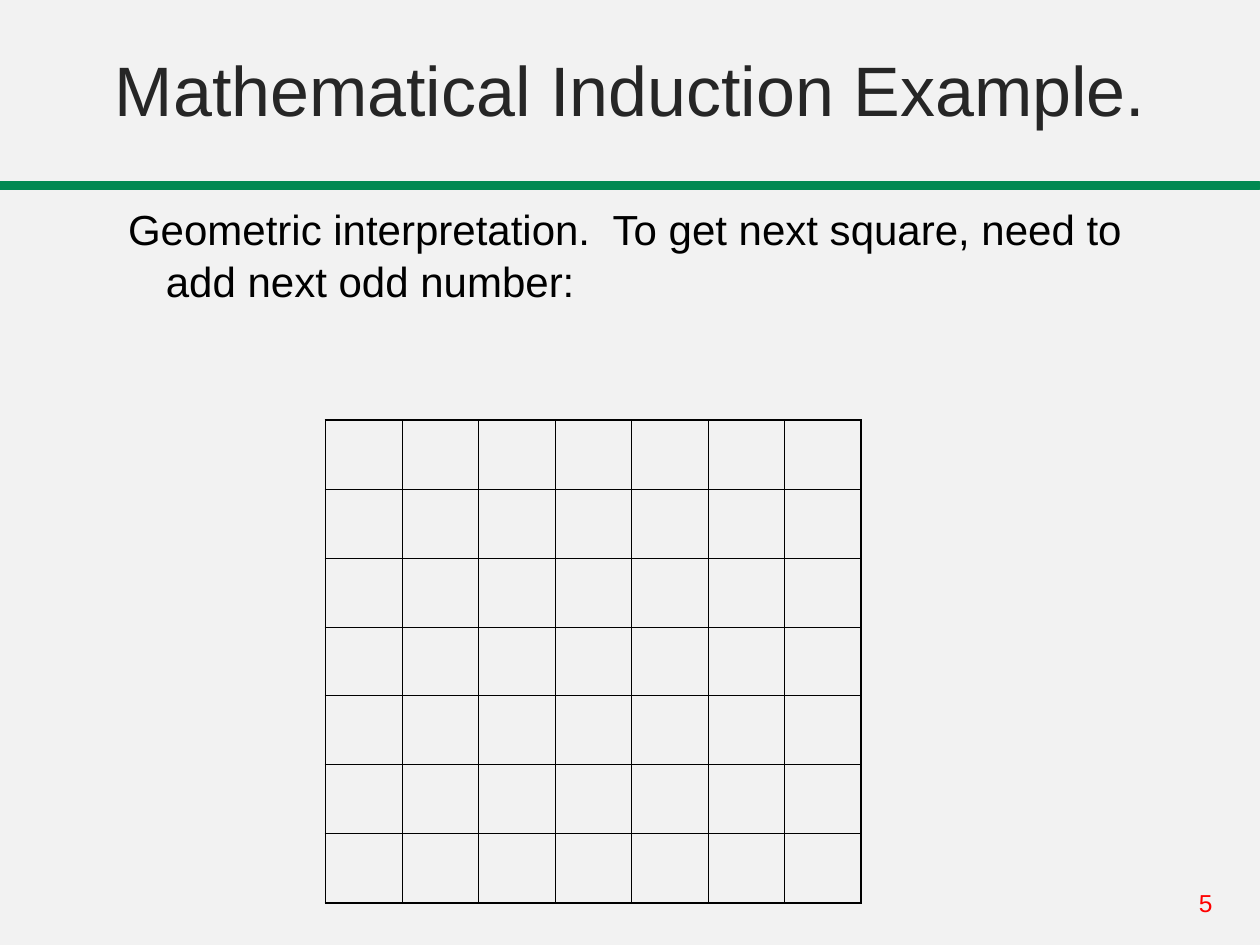
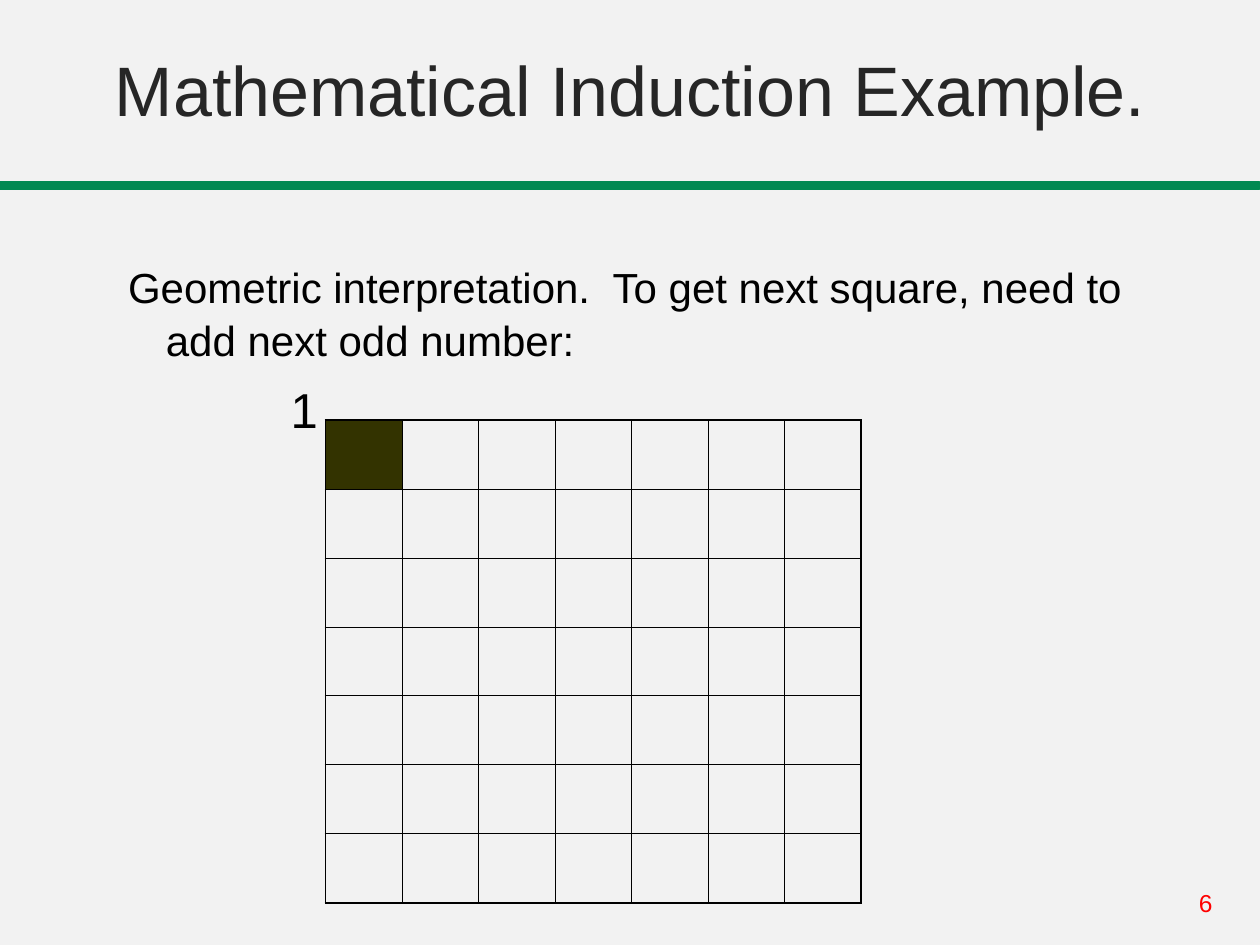
from lxml import etree
from pptx import Presentation
from pptx.dml.color import RGBColor
from pptx.enum.shapes import MSO_SHAPE
from pptx.enum.text import MSO_ANCHOR, MSO_AUTO_SIZE, PP_ALIGN
from pptx.oxml.ns import qn
from pptx.util import Inches, Pt

RECTANGLE = MSO_SHAPE.RECTANGLE
TOP, BOTTOM = MSO_ANCHOR.TOP, MSO_ANCHOR.BOTTOM
CENTER, LEFT = PP_ALIGN.CENTER, PP_ALIGN.LEFT
NO_AUTOFIT = MSO_AUTO_SIZE.NONE

COLORS = {
    "background": "F2F2F2",
    "band": "018952",
    "title": "262626",
    "text": "000000",
    "number": "FF0000",
    "border": "000000",
    "filled": "333300",
}
FONT = "Arial"
TITLE_AND_CONTENT = 1
UNIT = Inches(1) // 12  # the slide is a grid of 120 columns by 90 rows
SQUARES = 7
OUTER_LINE, INNER_LINE = Pt(1.08), Pt(0.45)

TITLE = "Mathematical Induction Example."
INTERPRETATION = ("Geometric interpretation.  To get next square, "
                  "need to add next odd number:")


def color(name):
    return RGBColor.from_string(COLORS[name])


def units(*lengths):
    return [round(length * UNIT) for length in lengths]


class Deck:
    """Holds the shared style and the slide being built."""

    def __init__(self):
        self.presentation = Presentation()
        self.presentation.slide_width = 120 * UNIT
        self.presentation.slide_height = 90 * UNIT
        fill = self.presentation.slide_master.background.fill
        fill.solid()
        fill.fore_color.rgb = color("background")
        self.slide = None

    def new_slide(self, number):
        layout = self.presentation.slide_layouts[TITLE_AND_CONTENT]
        self.slide = self.presentation.slides.add_slide(layout)
        self.band()
        self.page_number(number)
        self.title(TITLE)

    def place(self, shape, *grid_box):
        shape.left, shape.top, shape.width, shape.height = units(*grid_box)

    def style(self, paragraph, size, color_name, alignment=LEFT):
        paragraph.alignment = alignment
        for run in paragraph.runs:
            run.font.name = FONT
            run.font.size = Pt(size)
            run.font.color.rgb = color(color_name)

    def band(self):
        shape = self.slide.shapes.add_shape(RECTANGLE, *units(0, 17.4, 120, 0.6))
        shape.shadow.inherit = False
        shape.fill.solid()
        shape.fill.fore_color.rgb = color("band")
        shape.line.color.rgb = color("band")
        shape.line.width = Pt(1.75)

    def page_number(self, number):
        shape = self.slide.shapes.add_textbox(*units(113, 84, 7, 4))
        shape.text_frame.word_wrap = True
        shape.text_frame.text = str(number)
        self.style(shape.text_frame.paragraphs[0], 14, "number")

    def title(self, text):
        shape = self.slide.shapes.title
        self.place(shape, 0, 0, 120, 13)
        frame = shape.text_frame
        frame.text = text
        frame.auto_size = NO_AUTOFIT
        frame.vertical_anchor = BOTTOM
        self.style(frame.paragraphs[0], 40, "title", CENTER)

    def body(self, rows, top_margin, lines):
        """Each line is a tuple: text, size, left margin, first-line indent."""
        shape = self.slide.placeholders[1]
        self.place(shape, 11, 18, 99, rows)
        frame = shape.text_frame
        frame.auto_size = NO_AUTOFIT
        frame.vertical_anchor = TOP
        frame.margin_top = units(top_margin)[0]
        frame.text = "\n".join(line[0] for line in lines)
        for index, (_, size, margin, indent) in enumerate(lines):
            paragraph = frame.paragraphs[index]
            properties = paragraph._p.get_or_add_pPr()
            properties.set("marL", str(Inches(margin)))
            properties.set("indent", str(Inches(indent)))
            etree.SubElement(properties, qn("a:buNone"))
            paragraph.line_spacing = 1.04
            paragraph.space_before = Pt(7 if index else 0)
            self.style(paragraph, size, "text")

    def cell_borders(self, cell, row, column):
        last = SQUARES - 1
        sides = (("L", column == 0), ("R", column == last),
                 ("T", row == 0), ("B", row == last))
        properties = cell._tc.get_or_add_tcPr()
        for position, (side, is_outer) in enumerate(sides):
            line = etree.Element(qn(f"a:ln{side}"))
            line.set("w", str(OUTER_LINE if is_outer else INNER_LINE))
            fill = etree.SubElement(line, qn("a:solidFill"))
            etree.SubElement(fill, qn("a:srgbClr")).set("val", COLORS["border"])
            properties.insert(position, line)

    def squares(self, filled_side):
        """Draw the square grid with its top-left square of that side filled."""
        table = self.slide.shapes.add_table(
            SQUARES, SQUARES, *units(31, 40, 51, 46)).table
        table.first_row = table.horz_banding = False
        for row in range(SQUARES):
            for column in range(SQUARES):
                cell = table.cell(row, column)
                if max(row, column) < filled_side:
                    cell.fill.solid()
                    cell.fill.fore_color.rgb = color("filled")
                else:
                    cell.fill.background()
                self.cell_borders(cell, row, column)


def main():
    deck = Deck()
    interpretation = (INTERPRETATION, 24, 0.3, -0.3)

    # Empty grid
    deck.new_slide(5)
    deck.body(22, 1.2, [interpretation])
    deck.squares(0)

    # First odd number
    deck.new_slide(6)
    deck.body(35, 6.75, [interpretation, ("1", 28, 1.29, 0)])
    deck.squares(1)

    deck.presentation.save("out.pptx")


if __name__ == "__main__":
    main()
